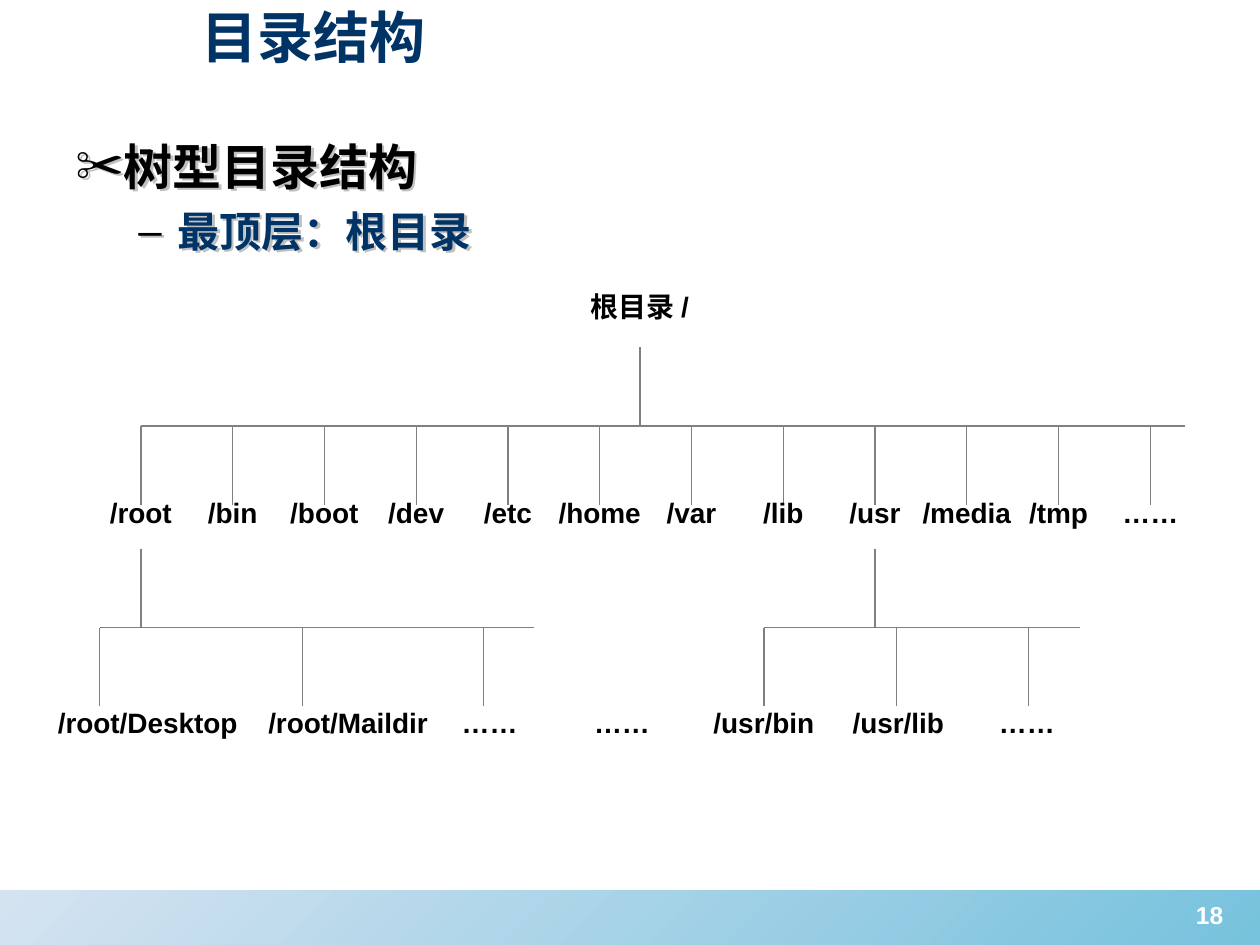
from dataclasses import dataclass

from lxml import etree
from pptx import Presentation
from pptx import util as u
from pptx.dml.color import RGBColor
from pptx.enum import shapes, text
from pptx.oxml.ns import qn


@dataclass(frozen=True)
class Theme:
    font: str = "Arial"
    navy: RGBColor = RGBColor(0x00, 0x33, 0x66)
    black: RGBColor = RGBColor(0x00, 0x00, 0x00)
    white: RGBColor = RGBColor(0xFF, 0xFF, 0xFF)
    grey: RGBColor = RGBColor(0x80, 0x80, 0x80)
    shadow: RGBColor = RGBColor(0xC0, 0xC0, 0xC0)
    band_left: RGBColor = RGBColor(0xD5, 0xE3, 0xF1)
    band_right: RGBColor = RGBColor(0x77, 0xC2, 0xDD)
    title: int = 32
    heading: int = 28
    subheading: int = 24
    label: int = 16
    number: int = 14
    line: float = 0.75


theme = Theme()
deck = Presentation()
deck.slide_width, deck.slide_height = u.Cm(25.4), u.Cm(19.05)
page = deck.slides.add_slide(deck.slide_layouts[6])


def add_text(para, words, size, color):
    """Append a bold run."""
    span = para.add_run()
    span.text = words
    span.font.size = u.Pt(size)
    span.font.bold = True
    span.font.color.rgb = color
    span.font.name = theme.font


def add_line(x1, y1, x2, y2):
    line = page.shapes.add_connector(
        shapes.MSO_CONNECTOR.STRAIGHT, u.Cm(x1), u.Cm(y1), u.Cm(x2), u.Cm(y2))
    line.line.color.rgb = theme.grey
    line.line.width = u.Pt(theme.line)
    etree.SubElement(line._element.spPr, qn("a:effectLst"))


# Footer band and page number
band = page.shapes.add_shape(
    shapes.MSO_SHAPE.RECTANGLE, u.Cm(0), u.Cm(17.95), deck.slide_width, u.Cm(1.1))
band.shadow.inherit = False
band.line.fill.background()
band.fill.gradient()
band.fill.gradient_angle = 315
for stop, color, position in zip(
        band.fill.gradient_stops, (theme.band_left, theme.band_right), (0, 1)):
    stop.color.rgb = color
    stop.position = position

number = page.shapes.add_textbox(u.Cm(23.47), u.Cm(18.02), u.Cm(1.83), u.Cm(1))
number.text_frame.word_wrap = True
para = number.text_frame.paragraphs[0]
para.alignment = text.PP_ALIGN.CENTER
add_text(para, "18", theme.number, theme.white)

# Title
title = page.shapes.add_textbox(u.Cm(3.81), u.Cm(-0.08), u.Cm(20.5), u.Cm(1.6))
title.text_frame.word_wrap = True
title.text_frame.vertical_anchor = text.MSO_ANCHOR.MIDDLE
add_text(title.text_frame.paragraphs[0], "目录结构", theme.title, theme.navy)

# Bulleted heading: words, bullet, left margin, hang, space before, size, colour
body = page.shapes.add_textbox(u.Cm(1.27), u.Cm(2.62), u.Cm(22.86), u.Cm(3.5))
body.text_frame.word_wrap = True
effects = etree.SubElement(body._element.spPr, qn("a:effectLst"))
shadow = etree.SubElement(effects, qn("a:outerShdw"), dist=str(u.Pt(2)), dir="2700000")
etree.SubElement(shadow, qn("a:srgbClr"), val=str(theme.shadow))
points = [
    ("树型目录结构", "✂", 0.97, 0.97, 0, theme.heading, theme.black),
    ("最顶层：根目录", "–", 2.06, 0.79, 6, theme.subheading, theme.navy),
]
for index, (words, bullet, margin, hang, before, size, color) in enumerate(points):
    para = body.text_frame.add_paragraph() if index else body.text_frame.paragraphs[0]
    para.level = index
    props = para._p.get_or_add_pPr()
    props.set("marL", str(u.Cm(margin)))
    props.set("indent", str(-u.Cm(hang)))
    bullet_color = etree.SubElement(props, qn("a:buClr"))
    etree.SubElement(bullet_color, qn("a:srgbClr"), val=str(theme.black))
    etree.SubElement(props, qn("a:buFont"), typeface=theme.font)
    etree.SubElement(props, qn("a:buChar"), char=bullet)
    para.space_before = u.Pt(before)
    add_text(para, words, size, color)

# Directory tree
rise = 1.59
label_height = 0.94
top_rail, low_rail = 8.59, 12.65
top_row, low_row = 9.86, 14.1
first_x, step = 2.84, 1.85

folders = ["/root", "/bin", "/boot", "/dev", "/etc", "/home",
           "/var", "/lib", "/usr", "/media", "/tmp", "……"]
columns = [first_x + step * index for index in range(len(folders))]
root_x, usr_x = columns[0], columns[folders.index("/usr")]

# Each branch: trunk x, rail y, rail left, rail right, drop positions
branches = [
    (12.9, top_rail, first_x, 23.88, columns),
    (root_x, low_rail, 2.01, 10.77, [2.01, 6.1, 9.75]),
    (usr_x, low_rail, 15.4, 21.77, [15.4, 18.08, 20.73]),
]
for trunk, rail, left, right, drops in branches:
    add_line(trunk, rail - rise, trunk, rail)
    add_line(left, rail, right, rail)
    for drop in drops:
        add_line(drop, rail, drop, rail + rise)

# Each label: words, centre, top, width
labels = [("根目录 /", 12.9, 5.72, 3)]
labels += [(name, x, top_row, 2.4) for name, x in zip(folders, columns)]
labels += [(name, x, low_row, width) for name, x, width in [
    ("/root/Desktop", 2.98, 4.4), ("/root/Maildir", 7.02, 4), ("……", 9.87, 2),
    ("……", 12.54, 2),
    ("/usr/bin", 15.4, 2.8), ("/usr/lib", 18.11, 2.6), ("……", 20.7, 2)]]
for words, center, top, width in labels:
    box = page.shapes.add_textbox(
        u.Cm(center - width / 2), u.Cm(top), u.Cm(width), u.Cm(label_height))
    box.text_frame.word_wrap = False
    para = box.text_frame.paragraphs[0]
    para.alignment = text.PP_ALIGN.CENTER
    add_text(para, words, theme.label, theme.black)

deck.save("out.pptx")
